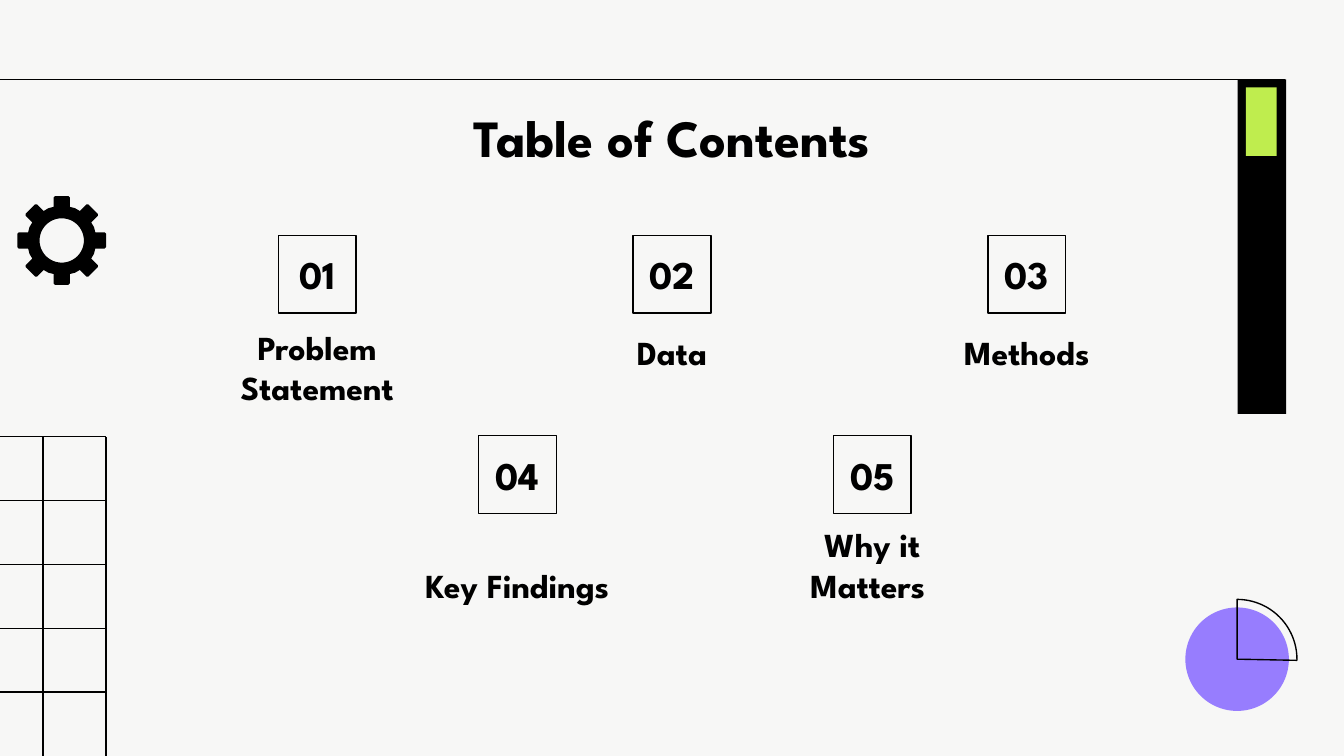
import math
from dataclasses import dataclass

import pptx
import pptx.dml.color
import pptx.enum.shapes
import pptx.enum.text
import pptx.oxml
import pptx.oxml.ns
import pptx.util

COLS, ROWS = 100, 56.25
CELL = pptx.util.Inches(10) / COLS
FONT = "League Spartan"
INK, PAPER, LIME, VIOLET = "000000", "F7F7F6", "BFED4E", "977DFE"
KIND = pptx.enum.shapes.MSO_SHAPE
ANCHOR = pptx.enum.text.MSO_ANCHOR

STEP = 26.4  # columns between neighbouring cards
SIDE = 5.8


@dataclass
class Box:
    """A place on the grid, in columns and rows."""
    left: float
    top: float
    width: float
    height: float

    def emu(self) -> list:
        return [grid(v) for v in (self.left, self.top, self.width, self.height)]


@dataclass
class Card:
    number: str
    label: str
    mid: float
    top: float
    base: float  # top of the label
    width: float


CARDS = [
    Card("01", "Problem Statement", 23.6, 17.5, 27.1, 20.4),
    Card("02", "Data", 23.6 + STEP, 17.5, 24.5, 20.4),
    Card("03", "Methods", 23.6 + 2 * STEP, 17.5, 24.5, 20.4),
    Card("04", "Key Findings", 38.5, 32.4, 41.8, 16.4),
    Card("05", "Why it Matters ", 38.5 + STEP, 32.4, 41.8, 14.3),
]


def grid(count: float) -> int:
    return pptx.util.Emu(round(count * CELL))


def tint(code: str):
    return pptx.dml.color.RGBColor.from_string(code)


def paint(shape, fill: str = "", line: str = "") -> None:
    shape.shadow.inherit = False
    if fill:
        shape.fill.solid()
        shape.fill.fore_color.rgb = tint(fill)
    else:
        shape.fill.background()
    if line:
        shape.line.color.rgb = tint(line)
        shape.line.width = pptx.util.Pt(0.75)
    else:
        shape.line.fill.background()


def draw(slide, kind, box: Box, fill: str = "", line: str = ""):
    shape = slide.shapes.add_shape(kind, *box.emu())
    paint(shape, fill, line)
    return shape


def rule(slide, *ends: float) -> None:
    line = slide.shapes.add_connector(
        pptx.enum.shapes.MSO_CONNECTOR.STRAIGHT, *map(grid, ends))
    line.line.color.rgb = tint(INK)
    line.line.width = pptx.util.Pt(0.75)
    props = line._element.spPr
    props.append(pptx.oxml.parse_xml(
        "<a:effectLst %s/>" % pptx.oxml.ns.nsdecls("a")))


def write(shape, text: str, size: float, anchor) -> None:
    frame = shape.text_frame
    inset = grid(1)
    form = {"word_wrap": True, "vertical_anchor": anchor,
            "margin_left": inset, "margin_right": inset,
            "margin_top": inset, "margin_bottom": inset}
    for key, value in form.items():
        setattr(frame, key, value)
    para = frame.paragraphs[0]
    para.alignment = pptx.enum.text.PP_ALIGN.CENTER
    run = para.add_run()
    run.text = text
    looks = {"name": FONT, "size": pptx.util.Pt(size), "bold": True}
    for key, value in looks.items():
        setattr(run.font, key, value)
    run.font.color.rgb = tint(INK)


def label(slide, box: Box, text: str, size: float, anchor) -> None:
    write(slide.shapes.add_textbox(*box.emu()), text, size, anchor)


def gear(slide, x: float, y: float) -> None:
    """Draw eight teeth on a wheel with a round hole, centred at x, y."""
    def spot(angle: float, out: float, side: float = 0) -> tuple:
        cos, sin = math.cos(angle), math.sin(angle)
        return (grid(x + out * cos - side * sin),
                grid(y + out * sin + side * cos))

    rim = []
    for tooth in range(8):
        turn = tooth * math.pi / 4
        rim += [spot(turn, out, side) for out, side in
                ((2.5, -0.6), (3.2, -0.6), (3.3, -0.5),
                 (3.3, 0.5), (3.2, 0.6), (2.5, 0.6))]
        rim.append(spot(turn + math.pi / 8, 2.6))
    hole = [spot(-i * math.pi / 24, 1.65) for i in range(48)]
    build = slide.shapes.build_freeform(*rim[0])
    build.add_line_segments(rim[1:])
    build.move_to(*hole[0])
    build.add_line_segments(hole[1:])
    paint(build.convert_to_shape(), INK)


def main() -> None:
    deck = pptx.Presentation()
    deck.slide_width, deck.slide_height = grid(COLS), grid(ROWS)
    slide = deck.slides.add_slide(deck.slide_layouts[6])
    slide.background.fill.solid()
    slide.background.fill.fore_color.rgb = tint(PAPER)

    for row in range(5):
        y = 32.5 + 4.75 * row
        rule(slide, -1.4, y, 7.9, y)
    for x in (3.2, 7.9):
        rule(slide, x, 32.5, x, ROWS)
    rule(slide, -0.5, 5.9, 95.6, 5.9)

    gear(slide, 4.6, 17.9)
    draw(slide, KIND.RECTANGLE, Box(92.1, 5.9, 3.6, 24.9), INK)
    draw(slide, KIND.RECTANGLE, Box(92.7, 6.5, 2.3, 5.1), LIME)
    draw(slide, KIND.OVAL, Box(88.2, 45.2, 7.7, 7.7), VIOLET)
    wedge = draw(slide, KIND.PIE, Box(87.6, 44.6, 8.9, 8.9), line=INK)
    wedge.adjustments[0] = 162  # 270 degrees
    wedge.adjustments[1] = 0.66  # about 1 degree

    label(slide, Box(7.9, 6.8, 84.2, 6.3), "Table of Contents", 28, ANCHOR.TOP)
    for card in CARDS:
        square = draw(slide, KIND.RECTANGLE,
                      Box(card.mid - SIDE / 2, card.top, SIDE, SIDE), line=INK)
        write(square, card.number, 21, ANCHOR.MIDDLE)
        label(slide, Box(card.mid - card.width / 2, card.base, card.width, 4.2),
              card.label, 18, ANCHOR.BOTTOM)

    deck.save("out.pptx")


if __name__ == "__main__":
    main()
